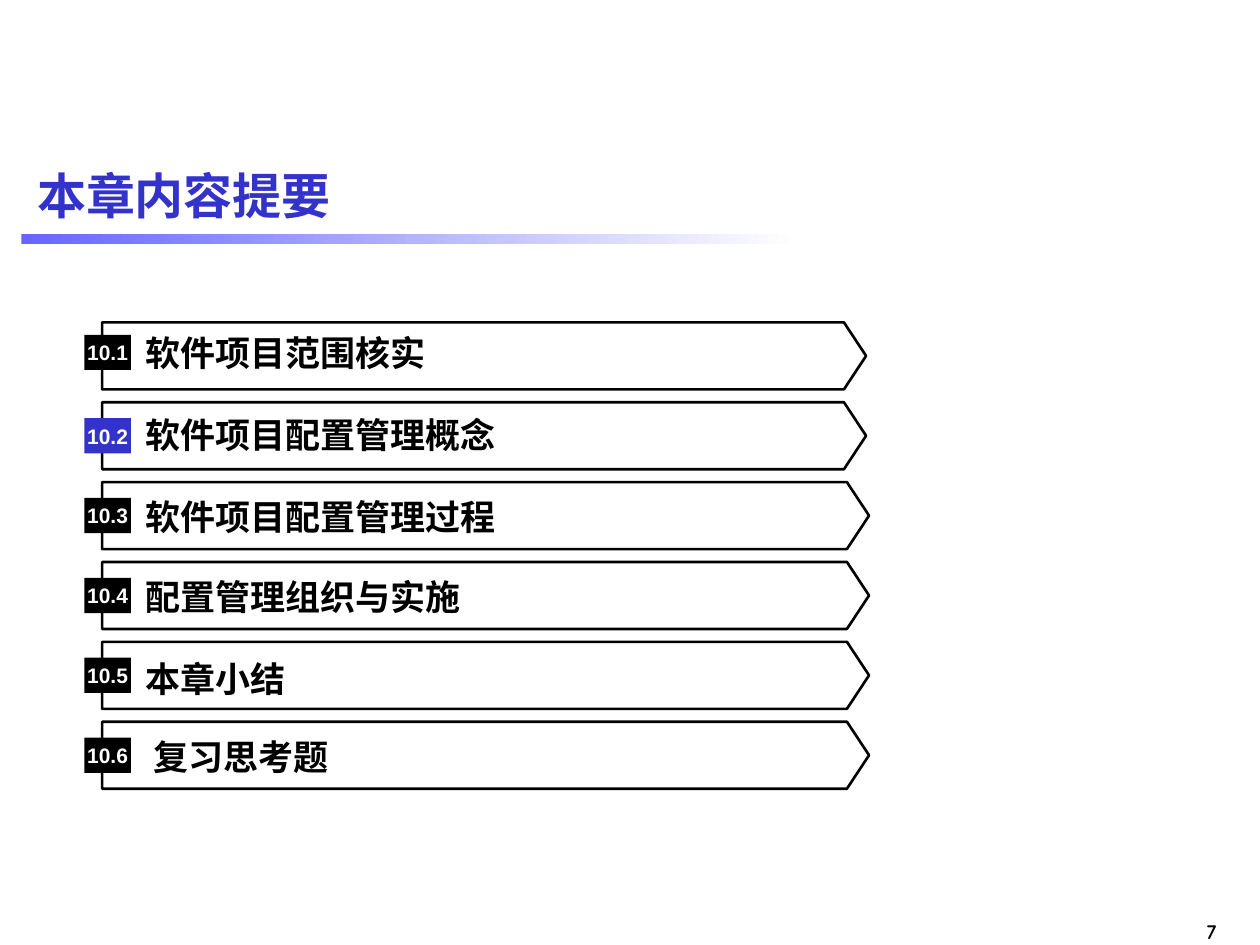
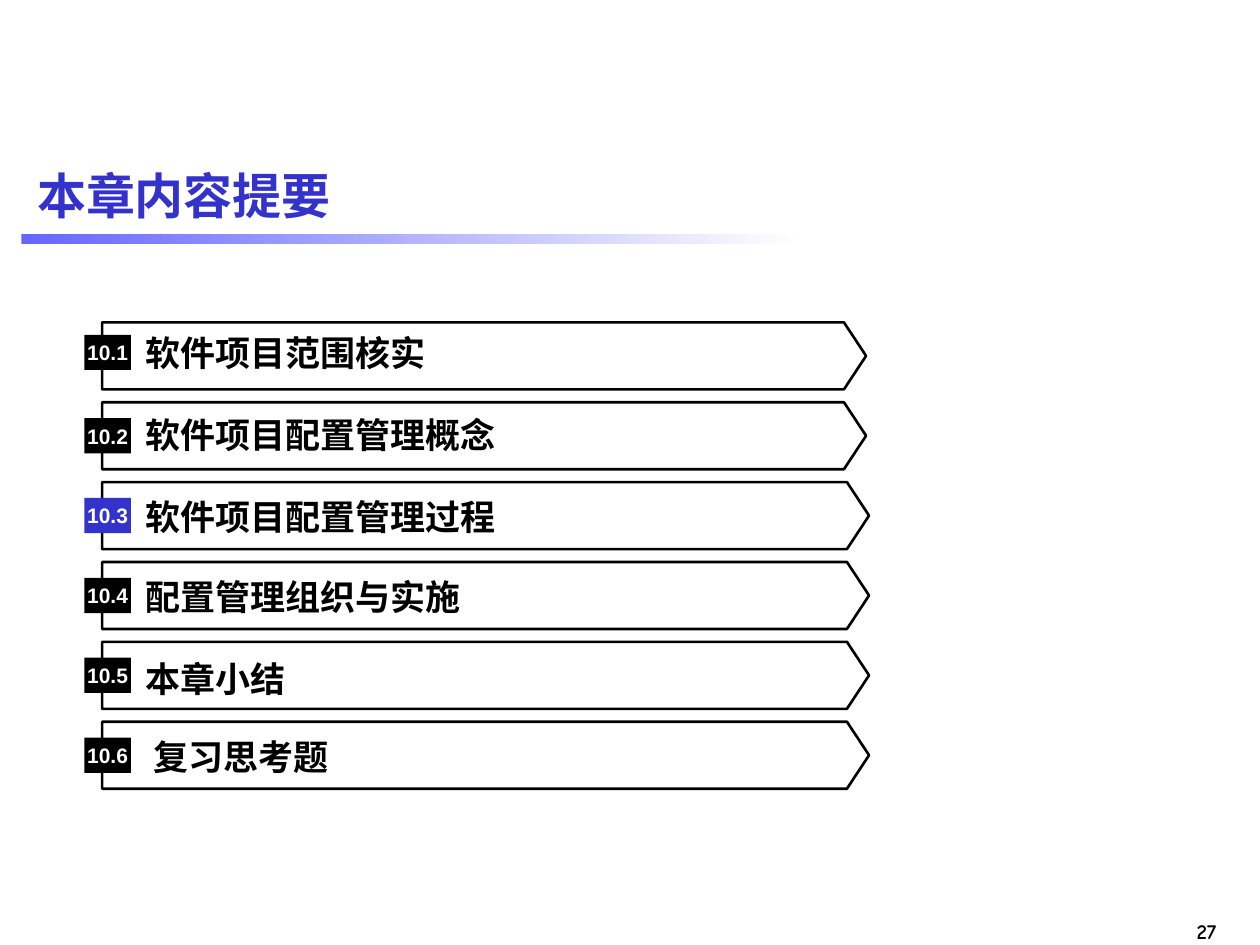
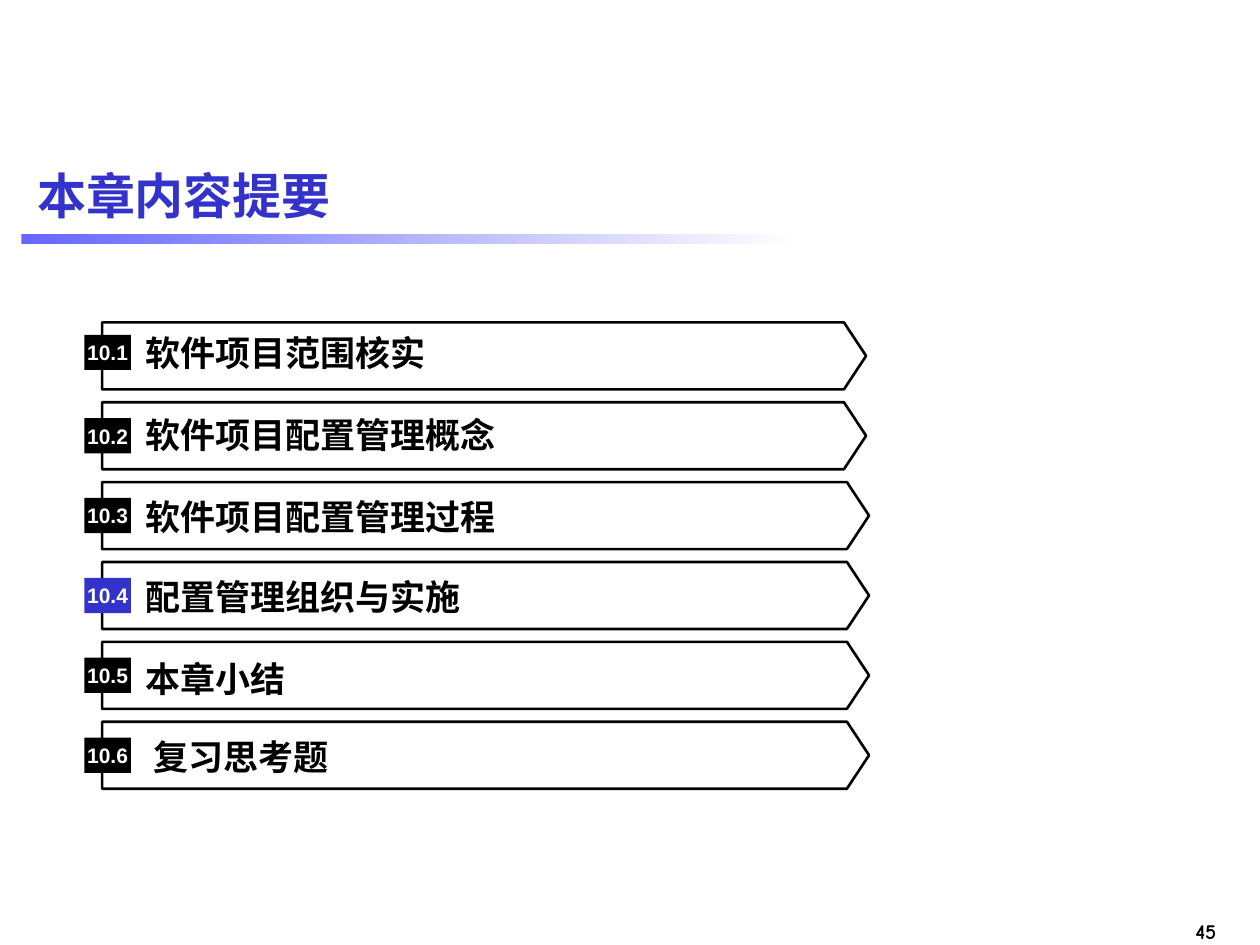
"""Build three chapter outline slides, each with one section marked as current."""
from typing import Any, NamedTuple

from pptx import Presentation
from pptx import util as u
from pptx.dml.color import RGBColor
from pptx.enum import shapes, text
from pptx.oxml import ns

BLACK, WHITE, BLUE, LIGHT_BLUE = "000000", "FFFFFF", "3333CC", "6666FF"
CJK_FONT = "Noto Sans CJK SC"
TITLE = "本章内容提要"

ROW_TOP, ROW_STEP, ROW_HEIGHT = 6.5, 1.61, 1.35
PLATE_LEFT, LABEL_LEFT, LABEL_HEIGHT = 2.06, 2.77, 0.84
BADGE_LEFT, BADGE_WIDTH, BADGE_HEIGHT = 1.7, 0.94, 0.71


class Frame(NamedTuple):
    """Place and size in centimetres."""

    left: float
    top: float
    width: float
    height: float

    def lengths(self) -> list[u.Cm]:
        """Return the four values as lengths."""
        return [u.Cm(value) for value in self]


class TextStyle(NamedTuple):
    """Look of a one-line text."""

    size: float
    color: str
    font: str = "Arial"
    align: Any = text.PP_ALIGN.LEFT
    anchor: Any = text.MSO_ANCHOR.MIDDLE


class Section(NamedTuple):
    """One outline row, with offsets from the top of its plate."""

    number: str
    label: str
    label_drop: float = 0.28
    badge_drop: float = 0.32
    plate_width: float = 15.46
    indent: float = 0.16
    font: str = CJK_FONT


class Outline(NamedTuple):
    """One slide: its page number and its current section."""

    page_number: int
    current: str


SECTIONS = [
    Section("10.1", "软件项目范围核实", 0.18, 0.25, 15.4),
    Section("10.2", "软件项目配置管理概念", 0.22, 0.32, 15.4),
    Section("10.3", "软件项目配置管理过程"),
    Section("10.4", "配置管理组织与实施"),
    Section("10.5", "本章小结", 0.32),
    Section("10.6", "复习思考题", indent=0.32, font="Arial"),
]
OUTLINES = [Outline(7, "10.2"), Outline(27, "10.3"), Outline(45, "10.4")]

TITLE_STYLE = TextStyle(28, BLUE)
BADGE_STYLE = TextStyle(12, WHITE, align=text.PP_ALIGN.CENTER)
NUMBER_STYLE = TextStyle(12, BLACK, "Comic Neue", text.PP_ALIGN.RIGHT,
                         text.MSO_ANCHOR.TOP)
NO_MARGINS = {f"margin_{side}": 0 for side in ("left", "top", "right", "bottom")}


def rgb(color: str) -> RGBColor:
    """Turn a hex string into a colour."""
    return RGBColor.from_string(color)


def set_values(target: Any, values: dict[str, Any]) -> None:
    """Set each named attribute of the target."""
    for name, value in values.items():
        setattr(target, name, value)


def write(box: Any, words: str, style: TextStyle, **frame_values: Any) -> None:
    """Write one styled line into a shape."""
    frame = box.text_frame
    set_values(frame, {"word_wrap": True, "vertical_anchor": style.anchor} | frame_values)
    para = frame.paragraphs[0]
    para.alignment = style.align
    span = para.add_run()
    span.text = words
    set_values(span.font, {"size": u.Pt(style.size), "bold": True, "name": style.font})
    span.font.color.rgb = rgb(style.color)
    east_asian = span.font._element.makeelement(ns.qn("a:ea"), {"typeface": CJK_FONT})
    span.font._element.append(east_asian)


def add_text(parent: Any, place: Frame, words: str, style: TextStyle,
             **frame_values: Any) -> None:
    """Add a text box."""
    write(parent.shapes.add_textbox(*place.lengths()), words, style, **frame_values)


def add_shape(parent: Any, kind: Any, place: Frame) -> Any:
    """Add a preset shape without a shadow or line."""
    shape = parent.shapes.add_shape(kind, *place.lengths())
    shape.shadow.inherit = False
    shape.line.fill.background()
    return shape


def add_section(page: Any, section: Section, top: float, badge_color: str) -> None:
    """Draw one outline row as a group."""
    row = page.shapes.add_group_shape()
    plate = add_shape(row, shapes.MSO_SHAPE.PENTAGON,
                      Frame(PLATE_LEFT, top, section.plate_width, ROW_HEIGHT))
    plate.adjustments[0] = 0.33
    plate.fill.background()
    plate.line.color.rgb = rgb(BLACK)
    plate.line.width = u.Pt(1.5)

    label = Frame(LABEL_LEFT, top + section.label_drop,
                  section.plate_width - 1.74, LABEL_HEIGHT)
    margins = NO_MARGINS | {"margin_left": u.Cm(section.indent)}
    add_text(row, label, section.label, TextStyle(20, BLACK, section.font), **margins)

    badge = add_shape(row, shapes.MSO_SHAPE.RECTANGLE,
                      Frame(BADGE_LEFT, top + section.badge_drop,
                            BADGE_WIDTH, BADGE_HEIGHT))
    badge.fill.solid()
    badge.fill.fore_color.rgb = rgb(badge_color)
    write(badge, section.number, BADGE_STYLE, **NO_MARGINS)


def add_page_frame(page: Any, page_number: int) -> None:
    """Draw the title, the fading band and the page number."""
    band = add_shape(page, shapes.MSO_SHAPE.RECTANGLE, Frame(0.43, 4.72, 15.67, 0.21))
    band.fill.gradient()
    band.fill.gradient_angle = 0
    for stop, color in zip(band.fill.gradient_stops, (LIGHT_BLUE, WHITE)):
        stop.color.rgb = rgb(color)
    add_text(page, Frame(0.5, 2.92, 24.4, 2), TITLE, TITLE_STYLE)
    add_text(page, Frame(23.37, 18.39, 1.4, 0.77), str(page_number), NUMBER_STYLE,
             word_wrap=False)


def main() -> None:
    """Build and save the deck."""
    deck = Presentation()
    set_values(deck, {"slide_width": u.Cm(25.4), "slide_height": u.Cm(19.05)})
    for outline in OUTLINES:
        page = deck.slides.add_slide(deck.slide_layouts[6])
        add_page_frame(page, outline.page_number)
        for index, section in enumerate(SECTIONS):
            color = BLUE if section.number == outline.current else BLACK
            add_section(page, section, ROW_TOP + index * ROW_STEP, color)
    deck.save("out.pptx")


if __name__ == "__main__":
    main()
